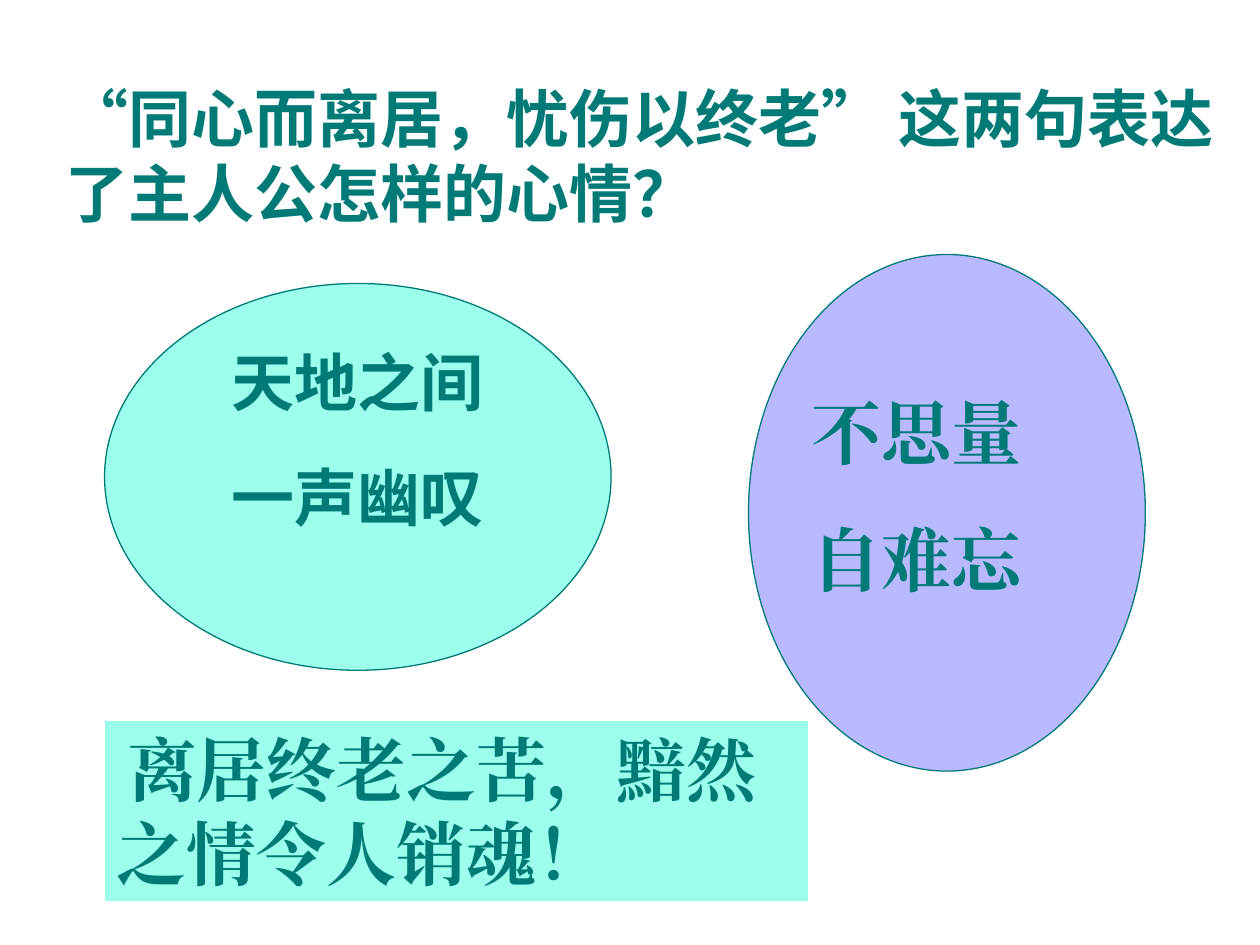
from lxml import etree
from pptx import Presentation
from pptx.dml.color import RGBColor
from pptx.enum import shapes, text
from pptx.oxml.ns import qn
from pptx.util import Inches, Pt

TEAL = "007A77"
MINT = "9BFFEC"
LILAC = "B9B9FF"
WHITE = "FFFFFF"


def color(value):
    return RGBColor.from_string(value)


def add_panel(slide, kind, box, fill, line):
    shape = slide.shapes.add_shape(kind, *map(Inches, box))
    shape.shadow.inherit = False
    shape.fill.solid()
    shape.fill.fore_color.rgb = color(fill)
    shape.line.color.rgb = color(line)
    shape.line.width = Pt(0.75)
    return shape


def add_text_box(slide, box):
    return slide.shapes.add_textbox(*map(Inches, box))


def write_lines(shape, lines, size, font, gap=0, align=text.PP_ALIGN.LEFT,
                anchor=text.MSO_ANCHOR.TOP, wrap=True, indent=0):
    frame = shape.text_frame
    frame.word_wrap = wrap
    frame.vertical_anchor = anchor
    frame.text = "\n".join(lines)
    for index, paragraph in enumerate(frame.paragraphs):
        paragraph.alignment = align
        paragraph.line_spacing = Pt(size * 1.2)
        paragraph.space_before = Pt(gap if index else 0)
        paragraph._p.get_or_add_pPr().set("indent", str(Inches(indent)))
        for run in paragraph.runs:
            run.font.size = Pt(size)
            run.font.bold = True
            run.font.name = font
            run.font.color.rgb = color(TEAL)
            properties = run._r.get_or_add_rPr()
            latin = properties.find(qn("a:latin"))
            east_asian = etree.Element(qn("a:ea"), typeface=font)
            latin.addnext(east_asian)
    return frame


def main():
    presentation = Presentation()
    presentation.slide_width = Inches(10)
    presentation.slide_height = Inches(7.5)
    slide = presentation.slides.add_slide(presentation.slide_layouts[6])
    oval = shapes.MSO_SHAPE.OVAL

    sigh = add_panel(slide, oval, (0.83, 2.25, 4.02, 3.07), MINT, TEAL)
    frame = write_lines(sigh, ["天地之间", "一声幽叹"], 36, "Arial", gap=22.5,
                        align=text.PP_ALIGN.CENTER,
                        anchor=text.MSO_ANCHOR.MIDDLE, wrap=False)
    frame.margin_bottom = Inches(0.65)

    add_panel(slide, oval, (5.94, 2.02, 3.15, 4.1), LILAC, TEAL)
    longing = add_text_box(slide, (6.34, 3.04, 2.12, 1.78))
    write_lines(longing, ["不思量", "自难忘"], 40, "Times New Roman", gap=25)

    answer = add_panel(slide, shapes.MSO_SHAPE.RECTANGLE,
                       (0.83, 5.72, 5.59, 1.44), MINT, WHITE)
    write_lines(answer, ["离居终老之苦，黯然之情令人销魂！"], 40,
                "Times New Roman", indent=0.08)

    question = add_text_box(slide, (0.42, 0.53, 9.41, 1.3))
    frame = write_lines(question, ["“同心而离居，忧伤以终老” 这两句表达了主人公怎样的心情？"],
                        36, "Noto Sans CJK SC")
    frame.margin_top = Inches(0.1)
    frame.margin_bottom = 0

    presentation.save("out.pptx")


if __name__ == "__main__":
    main()
